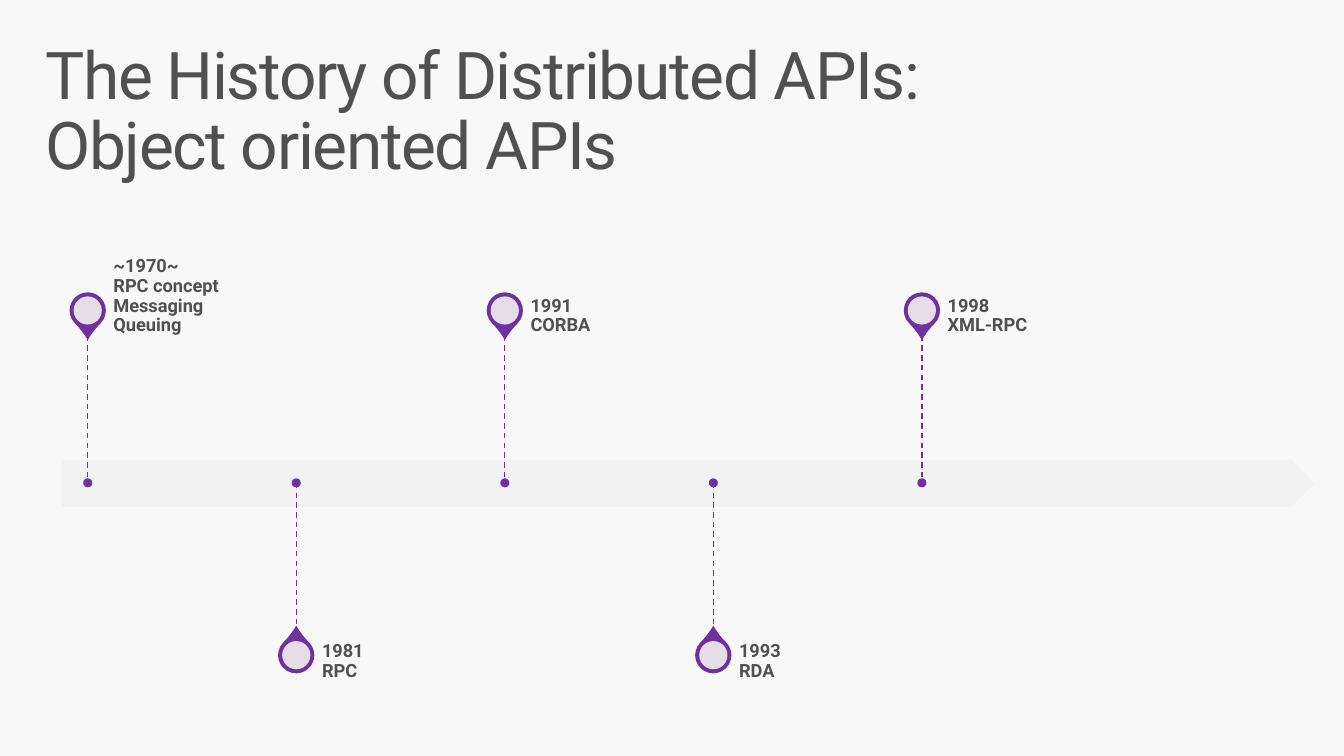
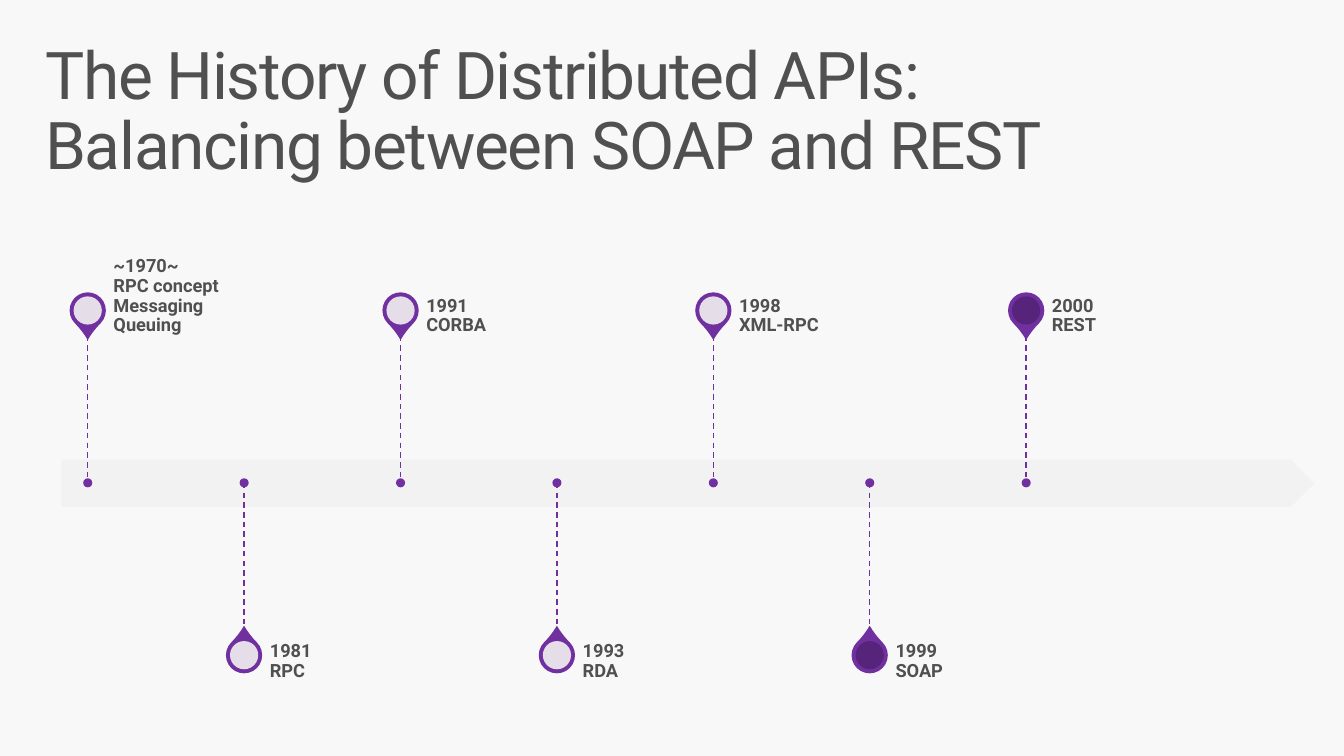
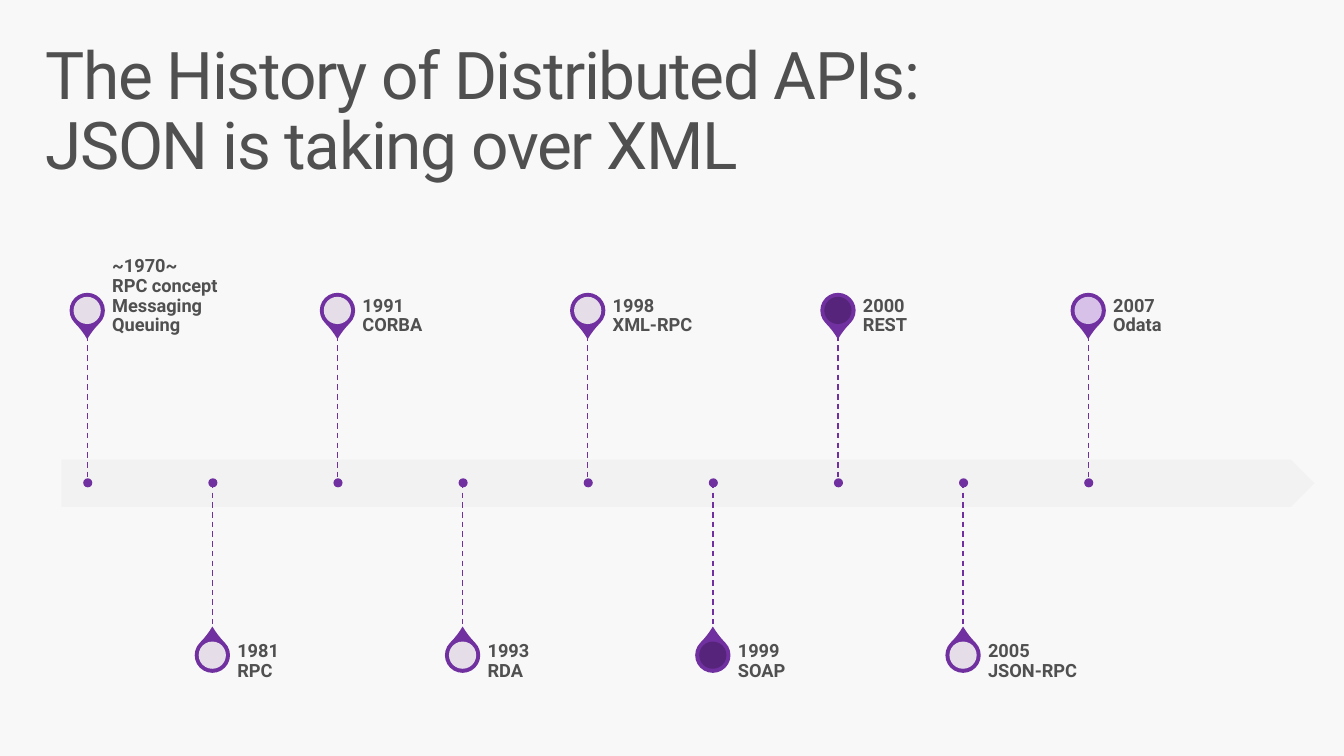
from pptx import Presentation
from pptx.dml.color import RGBColor
from pptx.enum import dml, shapes, text
from pptx.oxml import ns, xmlchemy as x
from pptx.util import Inches, Pt

FONT = "Roboto"
PAPER, INK, PURPLE = "F8F8F8", "505050", "7030A0"
PALE, DARK, LILAC = "F2F2F2", "542478", "E3D1F1"
HEADING = "The History of Distributed APIs:"

# Shared timeline geometry, in inches
BAND = (0.61, 4.56, 12.43, 0.47)
AXIS_Y = 4.79
FIRST_DOT, PIN_LEFT = 0.87, 0.69
SPAN = 12.41
DOT, RIM = 0.09, 0.04

EVENTS = [
    (["~1970~", "RPC concept", "Messaging", "Queuing"], PALE),
    (["1981", "RPC"], PALE),
    (["1991", "CORBA"], PALE),
    (["1993", "RDA"], PALE),
    (["1998", "XML-RPC"], PALE),
    (["1999", "SOAP"], DARK),
    (["2000", "REST"], DARK),
    (["2005", "JSON-RPC"], PALE),
    (["2007", "Odata"], LILAC),
]

# Subtitle, number of events shown, pin diameter
SLIDES = [
    ("Object oriented APIs", 5, 0.36),
    ("Balancing between SOAP and REST", 7, 0.36),
    ("JSON is taking over XML", 9, 0.35),
]


def rgb(color):
    return RGBColor.from_string(color)


def add_filled(s, kind, box, color, alpha=None):
    sp = s.shapes.add_shape(kind, *map(Inches, box))
    sp.shadow.inherit = False
    sp.fill.solid()
    sp.fill.fore_color.rgb = rgb(color)
    sp.line.fill.background()
    if alpha:
        clr = sp._element.spPr.find(".//" + ns.qn("a:srgbClr"))
        x.OxmlElement("a:alpha")
        clr.append(x.OxmlElement("a:alpha"))
        clr[-1].set("val", str(alpha * 1000))
    return sp


def add_circle(s, cx, cy, size, color, alpha=None):
    box = (cx - size / 2, cy - size / 2, size, size)
    return add_filled(s, shapes.MSO_SHAPE.OVAL, box, color, alpha)


def add_text(s, box, lines, size, insets, anchor, bold=False, spacing=None):
    tf = s.shapes.add_textbox(*map(Inches, box)).text_frame
    tf.word_wrap = True
    tf.vertical_anchor = anchor
    tf.margin_left, tf.margin_top, tf.margin_right, tf.margin_bottom = map(Inches, insets)
    p = tf.paragraphs[0]
    p.line_spacing = 0.9
    for i, line in enumerate(lines):
        if i:
            p.add_line_break()
        r = p.add_run()
        r.text = line
        r.font.name, r.font.size, r.font.bold = FONT, Pt(size), bold
        r.font.color.rgb = rgb(INK)
        if spacing:
            r.font._element.set("spc", str(spacing * 100))


def add_title(s, line, top):
    add_text(s, (0.29, top, 12.75, 0.98), [line], 47, (0.16, 0.1, 0.16, 0.1),
             text.MSO_ANCHOR.TOP, spacing=-1)


def add_stem(s, cx, top, bottom):
    c = s.shapes.add_connector(shapes.MSO_CONNECTOR.STRAIGHT,
                               *map(Inches, (cx, top, cx, bottom)))
    c.line.color.rgb = rgb(PURPLE)
    c.line.width = Pt(1)
    c.line.dash_style = dml.MSO_LINE.DASH
    c._element.spPr.append(x.OxmlElement("a:effectLst"))


def add_event(s, dot_x, pin_x, size, label_width, above, lines, color):
    """One event: pin, label, stem and its dot on the axis."""
    if above:
        pin_y, label_top, stem, angle = 3.08, 2.82, (3.33, AXIS_Y), 135
    else:
        pin_y, label_top, stem, angle = 6.5, 6.25, (AXIS_Y, 6.25), 315
    # Pin
    box = (pin_x - size / 2, pin_y - size / 2, size, size)
    pin = add_filled(s, shapes.MSO_SHAPE.TEAR, box, PURPLE)
    pin.adjustments[0] = 1.15
    pin.rotation = angle
    add_circle(s, pin_x, pin_y, size - 2 * RIM, color, 90)
    # Label
    add_text(s, (pin_x + 0.71 * size, label_top, label_width, 0.51), lines, 13,
             (0, 0, 0.09, 0), text.MSO_ANCHOR.BOTTOM, bold=True)
    # Stem and dot
    add_stem(s, pin_x, *stem)
    add_circle(s, dot_x, AXIS_Y, DOT, PURPLE)


def add_timeline(s, events, size):
    add_filled(s, shapes.MSO_SHAPE.PENTAGON, BAND, PALE, 90)
    pitch = SPAN / (len(events) + 1)
    for i, (lines, color) in enumerate(events):
        offset = i * pitch
        add_event(s, FIRST_DOT + offset, PIN_LEFT + size / 2 + offset, size,
                  pitch * 5 / 3, i % 2 == 0, lines, color)


def add_history_slide(prs, subtitle, count, size):
    s = prs.slides.add_slide(prs.slide_layouts[6])
    s.background.fill.solid()
    s.background.fill.fore_color.rgb = rgb(PAPER)
    add_title(s, HEADING, 0.32)
    add_timeline(s, EVENTS[:count], size)
    add_title(s, subtitle, 1.02)


def main():
    prs = Presentation()
    prs.slide_width, prs.slide_height = Inches(13.33), Inches(7.5)
    for subtitle, count, size in SLIDES:
        add_history_slide(prs, subtitle, count, size)
    prs.save("out.pptx")


if __name__ == "__main__":
    main()
